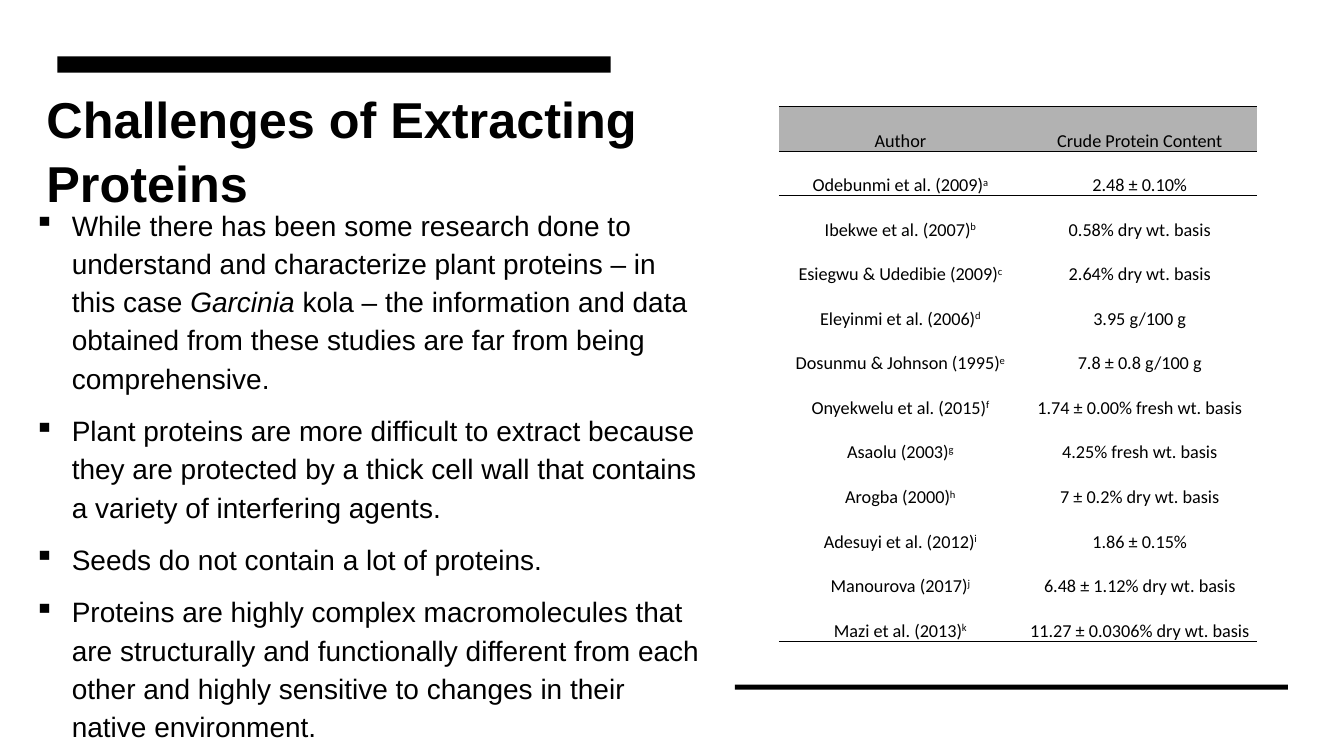
import lxml.etree
import pptx
import pptx.dml.color
import pptx.enum.shapes
import pptx.enum.text
import pptx.oxml.ns
import pptx.util

Cm = pptx.util.Cm
Pt = pptx.util.Pt
qn = pptx.oxml.ns.qn

COLORS = {"ink": "000000", "paper": "FFFFFF", "header": "B2B2B2"}
NO_TABLE_STYLE = "{2D5ABB26-0587-4C30-8999-92F81FD0307C}"
BULLET_INDENT = Cm(0.95)

TITLE = "Challenges of Extracting Proteins"
POINTS = [
    [("While there has been some research done to understand and characterize "
      "plant proteins – in this case ", {}),
     ("Garcinia ", {"italic": True}),
     ("kola – the information and data obtained from these studies are far "
      "from being comprehensive.", {})],
    [("Plant proteins are more difficult to extract because they are protected "
      "by a thick cell wall that contains a variety of interfering agents.", {})],
    [("Seeds do not contain a lot of proteins.", {})],
    [("Proteins are highly complex macromolecules that are structurally and "
      "functionally different from each other and highly sensitive to changes "
      "in their native environment.", {})],
]
HEADINGS = ("Author", "Crude Protein Content")
STUDIES = [
    ("Odebunmi et al. (2009)", "2.48 ± 0.10%"),
    ("Ibekwe et al. (2007)", "0.58% dry wt. basis"),
    ("Esiegwu & Udedibie (2009)", "2.64% dry wt. basis"),
    ("Eleyinmi et al. (2006)", "3.95 g/100 g"),
    ("Dosunmu & Johnson (1995)", "7.8 ± 0.8 g/100 g"),
    ("Onyekwelu et al. (2015)", "1.74 ± 0.00% fresh wt. basis"),
    ("Asaolu (2003)", "4.25% fresh wt. basis"),
    ("Arogba (2000)", "7 ± 0.2% dry wt. basis"),
    ("Adesuyi et al. (2012)", "1.86 ± 0.15%"),
    ("Manourova (2017)", "6.48 ± 1.12% dry wt. basis"),
    ("Mazi et al. (2013)", "11.27 ± 0.0306% dry wt. basis"),
]


def rgb(name):
    return pptx.dml.color.RGBColor.from_string(COLORS[name])


def apply(target, values):
    """Set every attribute named in a dict of format values."""
    for name, value in values.items():
        setattr(target, name, value)


class SlideWriter:
    """Holds the text styles and the page being filled."""

    title_font = {"name": "Arial", "size": Pt(36), "bold": True}
    body_font = {"name": "Arial", "size": Pt(20)}
    table_font = {"name": "Calibri", "size": Pt(13)}
    cell_format = {"margin_left": Cm(0.18), "margin_right": Cm(0.18),
                   "margin_top": Cm(0.02), "margin_bottom": 0}

    def __init__(self, page):
        self.page = page

    def rectangle(self, left, top, width, height, color):
        box = self.page.shapes.add_shape(
            pptx.enum.shapes.MSO_SHAPE.RECTANGLE, left, top, width, height)
        box.shadow.inherit = False
        box.fill.solid()
        box.fill.fore_color.rgb = rgb(color)
        box.line.fill.background()

    def span(self, para, text, font, superscript=False):
        span = para.add_run()
        span.text = text
        apply(span.font, font)
        span.font.color.rgb = rgb("ink")
        if superscript:
            span.font._element.set("baseline", "30000")

    def text_box(self, left, top, width, height):
        frame = self.page.shapes.add_textbox(left, top, width, height).text_frame
        frame.word_wrap = True
        return frame

    def title(self, text, *place):
        para = self.text_box(*place).paragraphs[0]
        para.line_spacing = 1.05
        self.span(para, text, self.title_font)

    def bullets(self, points, *place):
        frame = self.text_box(*place)
        for index, point in enumerate(points):
            para = frame.add_paragraph() if index else frame.paragraphs[0]
            apply(para, {"line_spacing": 1.14,
                         "space_before": Pt(10 if index else 0)})
            properties = para._p.get_or_add_pPr()
            properties.set("marL", str(BULLET_INDENT))
            properties.set("indent", str(-BULLET_INDENT))
            lxml.etree.SubElement(properties, qn("a:buChar")).set("char", "▪")
            for text, emphasis in point:
                self.span(para, text, {**self.body_font, **emphasis})

    def rule(self, cell, sides):
        """Draw thin lines on the given cell sides (T before B)."""
        properties = cell._tc.get_or_add_tcPr()
        for index, side in enumerate(sides):
            line = lxml.etree.Element(qn("a:ln" + side), w=str(Pt(1)))
            fill = lxml.etree.SubElement(line, qn("a:solidFill"))
            lxml.etree.SubElement(fill, qn("a:srgbClr")).set("val", COLORS["ink"])
            properties.insert(index, line)

    def cell(self, cell, text, note, is_header):
        apply(cell, self.cell_format)
        if is_header:
            cell.fill.solid()
            cell.fill.fore_color.rgb = rgb("header")
        else:
            cell.fill.background()
        para = cell.text_frame.paragraphs[0]
        apply(para, {"alignment": pptx.enum.text.PP_ALIGN.CENTER,
                     "line_spacing": 2.0})
        self.span(para, text, self.table_font)
        if note:
            self.span(para, note, self.table_font, superscript=True)

    def study_table(self, headings, studies, left, top, widths, row_height):
        rows = [headings, *studies]
        table = self.page.shapes.add_table(
            len(rows), len(widths), left, top, sum(widths),
            row_height * len(rows)).table
        apply(table, {"first_row": False, "horz_banding": False})
        table._tbl.tblPr.find(qn("a:tableStyleId")).text = NO_TABLE_STYLE
        for column, width in zip(table.columns, widths):
            column.width = width
        borders = {0: "TB", 1: "T", len(rows) - 1: "B"}
        for r, row in enumerate(rows):
            table.rows[r].height = row_height
            for c, text in enumerate(row):
                note = chr(ord("a") + r - 1) if r and c == 0 else ""
                self.cell(table.cell(r, c), text, note, r == 0)
                self.rule(table.cell(r, c), borders.get(r, ""))


def main():
    deck = pptx.Presentation()
    apply(deck, {"slide_width": Cm(33.87), "slide_height": Cm(19.05)})
    writer = SlideWriter(deck.slides.add_slide(deck.slide_layouts[6]))
    writer.rectangle(0, 0, deck.slide_width, deck.slide_height, "paper")
    writer.title(TITLE, Cm(0.92), Cm(2.03), Cm(18.97), Cm(2.8))
    writer.rectangle(Cm(1.45), Cm(1.42), Cm(13.94), Cm(0.41), "ink")
    writer.rectangle(Cm(18.52), Cm(17.25), Cm(13.94), Cm(0.13), "ink")
    writer.study_table(HEADINGS, STUDIES, Cm(19.63), Cm(2.69),
                       (Cm(6.12), Cm(5.94)), Cm(1.12))
    writer.bullets(POINTS, Cm(0.61), Cm(5), Cm(17.32), Cm(14.88))
    deck.save("out.pptx")


if __name__ == "__main__":
    main()
